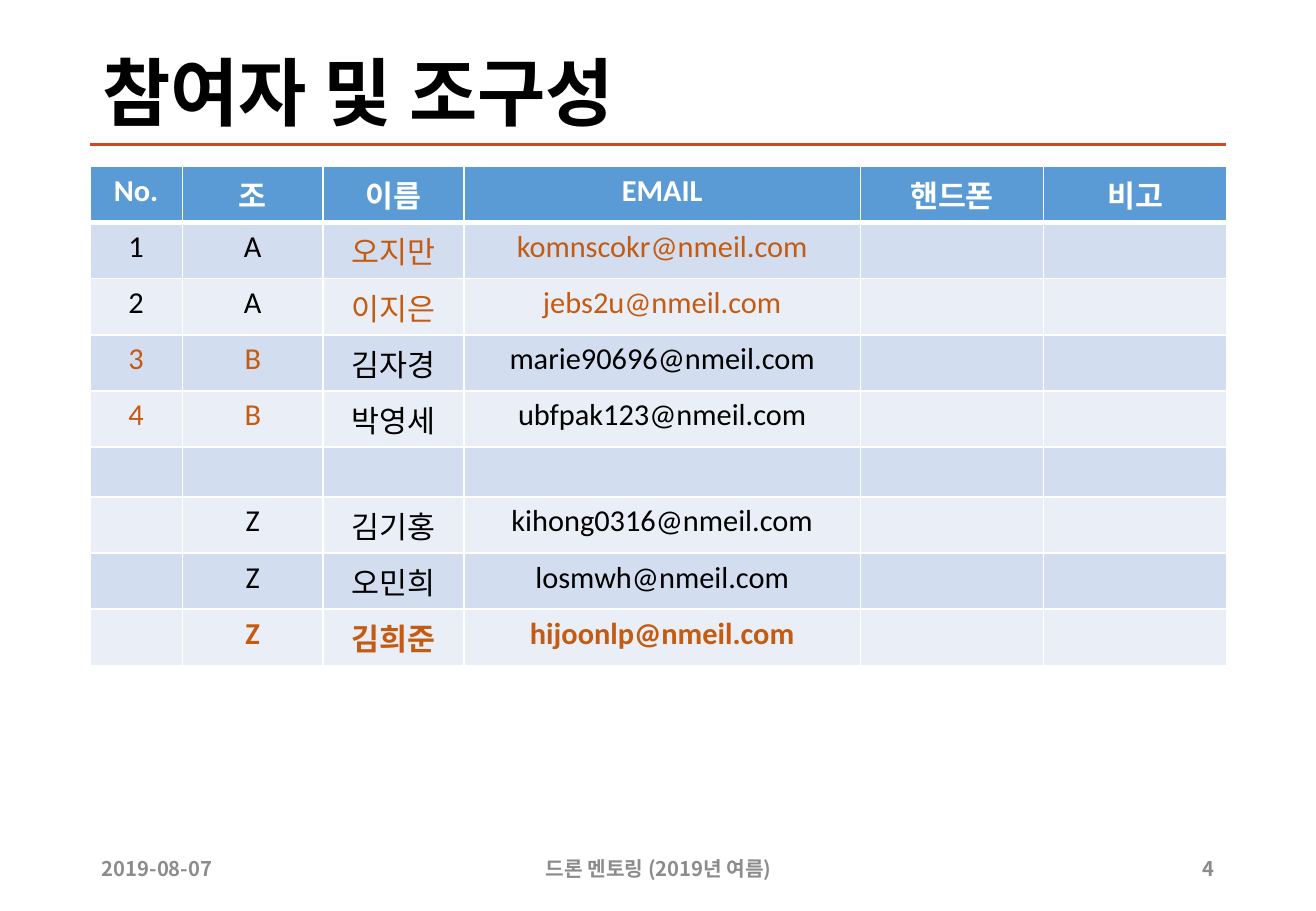
from dataclasses import dataclass

from lxml import etree
from pptx import Presentation
from pptx.dml.color import RGBColor
from pptx.enum.shapes import MSO_CONNECTOR
from pptx.enum.text import MSO_ANCHOR, MSO_AUTO_SIZE, PP_ALIGN
from pptx.oxml.ns import qn
from pptx.util import Inches, Pt

STRAIGHT = MSO_CONNECTOR.STRAIGHT
MIDDLE = MSO_ANCHOR.MIDDLE
NO_AUTOFIT = MSO_AUTO_SIZE.NONE
LEFT, CENTER, RIGHT = PP_ALIGN.LEFT, PP_ALIGN.CENTER, PP_ALIGN.RIGHT


@dataclass(frozen=True)
class Theme:
    text: str = "000000"
    white: str = "FFFFFF"
    accent: str = "C55A11"
    rule: str = "D24726"
    muted: str = "8C8C8C"
    header_fill: str = "5B9BD5"
    odd_fill: str = "D2DEEF"
    even_fill: str = "EAEFF7"
    title_font: str = "Times New Roman"
    body_font: str = "Calibri"
    korean_font: str = "Noto Sans CJK KR"
    title_size: int = 44
    table_size: int = 18
    footer_size: int = 12


class SlideBuilder:
    def __init__(self, slide, theme):
        self.slide = slide
        self.theme = theme

    def place(self, shape, left, top, width, height):
        shape.left, shape.top = Inches(left), Inches(top)
        shape.width, shape.height = Inches(width), Inches(height)

    def add_run(self, paragraph, text, font, size, color, bold=False):
        run = paragraph.add_run()
        run.text = text
        run.font.name = font
        run.font.size = Pt(size)
        run.font.bold = bold
        run.font.color.rgb = RGBColor.from_string(color)
        east_asian = etree.Element(qn("a:ea"), typeface=self.theme.korean_font)
        run.font._element.find(qn("a:latin")).addnext(east_asian)

    def title(self, text, *box):
        shape = self.slide.shapes.title
        self.place(shape, *box)
        frame = shape.text_frame
        frame.auto_size = NO_AUTOFIT
        frame.vertical_anchor = MIDDLE
        paragraph = frame.paragraphs[0]
        paragraph.alignment = LEFT
        paragraph.line_spacing = 0.9
        theme = self.theme
        self.add_run(paragraph, text, theme.title_font, theme.title_size, theme.text, True)

    def rule(self, left, right, y):
        connector = self.slide.shapes.add_connector(
            STRAIGHT, Inches(left), Inches(y), Inches(right), Inches(y))
        connector.line.color.rgb = RGBColor.from_string(self.theme.rule)
        connector.line.width = Pt(2)
        etree.SubElement(connector._element.spPr, qn("a:effectLst"))

    def footer(self, text, alignment, left, width):
        shape = self.slide.shapes.add_textbox(
            Inches(left), Inches(6.95), Inches(width), Inches(0.4))
        frame = shape.text_frame
        frame.word_wrap = True
        frame.vertical_anchor = MIDDLE
        paragraph = frame.paragraphs[0]
        paragraph.alignment = alignment
        theme = self.theme
        self.add_run(paragraph, text, theme.korean_font, theme.footer_size, theme.muted, True)

    def borders(self, cell, top, bottom):
        properties = cell._tc.get_or_add_tcPr()
        for side, width in (("L", 1), ("R", 1), ("T", top), ("B", bottom)):
            line = etree.SubElement(properties, qn(f"a:ln{side}"), w=str(Pt(width)))
            fill = etree.SubElement(line, qn("a:solidFill"))
            etree.SubElement(fill, qn("a:srgbClr"), val=self.theme.white)

    def table(self, header, members, widths, row_height, left, top):
        theme = self.theme
        rows = [header] + [values for values, accented, bold in members]
        table = self.slide.shapes.add_table(
            len(rows), len(widths), Inches(left), Inches(top),
            Inches(sum(widths)), Inches(row_height * len(rows))).table
        for column, width in zip(table.columns, widths):
            column.width = Inches(width)
        for row_index, values in enumerate(rows):
            if row_index == 0:
                fill, accented, bold = theme.header_fill, (), True
            else:
                fill = theme.odd_fill if row_index % 2 else theme.even_fill
                accented, bold = members[row_index - 1][1:]
            for column_index, value in enumerate(values):
                cell = table.cell(row_index, column_index)
                self.borders(cell, 3 if row_index == 1 else 1, 3 if row_index == 0 else 1)
                cell.fill.solid()
                cell.fill.fore_color.rgb = RGBColor.from_string(fill)
                paragraph = cell.text_frame.paragraphs[0]
                paragraph.alignment = CENTER
                color = theme.white if row_index == 0 else theme.text
                if column_index in accented:
                    color = theme.accent
                if value:
                    self.add_run(paragraph, value, theme.body_font, theme.table_size, color, bold)


HEADER = ("No.", "조", "이름", "EMAIL", "핸드폰", "비고")
NUMBER, GROUP, NAME, ADDRESS = range(4)
MEMBERS = [
    (("1", "A", "오지만", "komnscokr@nmeil.com", "", ""), (NAME, ADDRESS), False),
    (("2", "A", "이지은", "jebs2u@nmeil.com", "", ""), (NAME, ADDRESS), False),
    (("3", "B", "김자경", "marie90696@nmeil.com", "", ""), (NUMBER, GROUP), False),
    (("4", "B", "박영세", "ubfpak123@nmeil.com", "", ""), (NUMBER, GROUP), False),
    (("",) * len(HEADER), (), False),
    (("", "Z", "김기홍", "kihong0316@nmeil.com", "", ""), (), False),
    (("", "Z", "오민희", "losmwh@nmeil.com", "", ""), (), False),
    (("", "Z", "김희준", "hijoonlp@nmeil.com", "", ""), (GROUP, NAME, ADDRESS), True),
]


def main():
    presentation = Presentation()
    presentation.slide_width = Inches(10.83)
    presentation.slide_height = Inches(7.5)
    slide = presentation.slides.add_slide(presentation.slide_layouts[5])
    builder = SlideBuilder(slide, Theme())
    builder.rule(0.74, 10.09, 1.19)
    builder.title("참여자 및 조구성", 0.74, 0.4, 9.34, 0.79)
    builder.table(HEADER, MEMBERS, (0.76, 1.16, 1.16, 3.26, 1.51, 1.51), 0.41, 0.74, 1.37)
    builder.footer("2019-08-07", LEFT, 0.74, 1.27)
    builder.footer("드론 멘토링 (2019년 여름)", CENTER, 3.59, 3.66)
    builder.footer("4", RIGHT, 9.56, 0.53)
    presentation.save("out.pptx")


if __name__ == "__main__":
    main()
